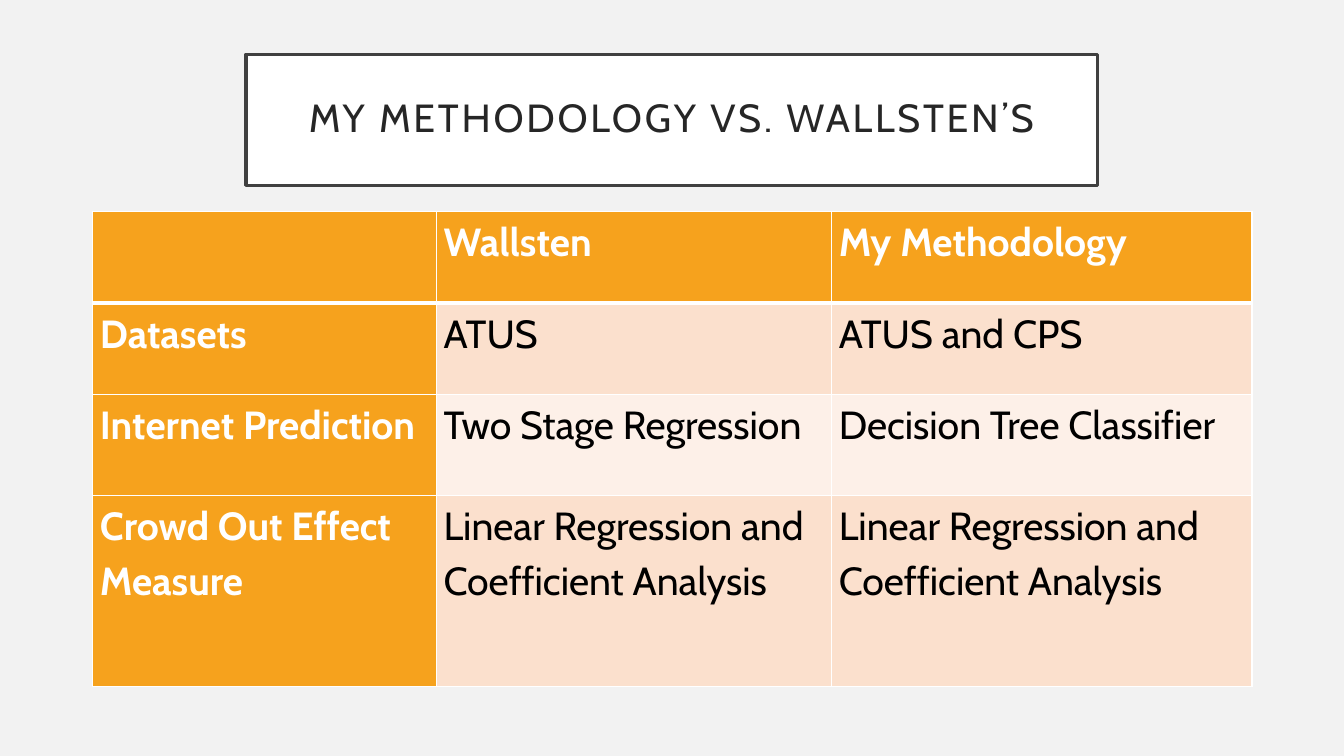
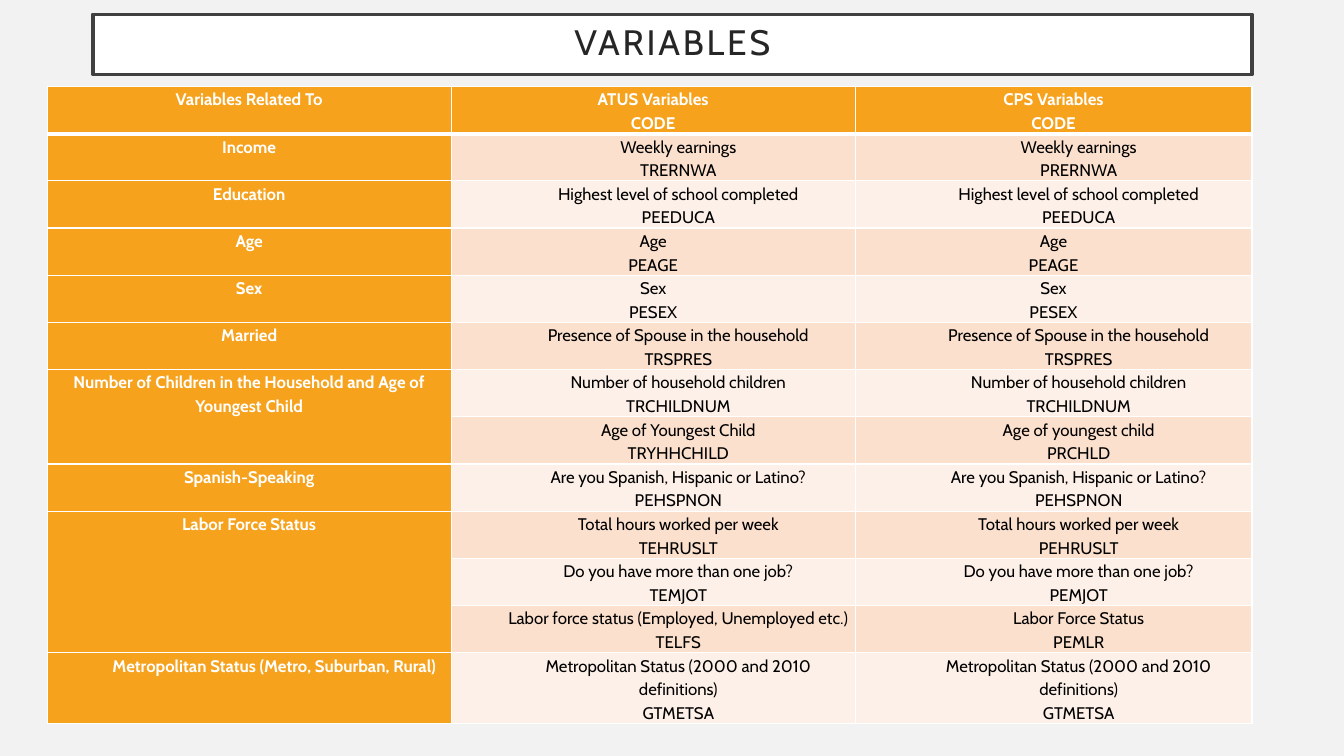
from dataclasses import dataclass

from lxml.etree import SubElement
from pptx import Presentation
from pptx.dml.color import RGBColor
from pptx.enum.text import MSO_ANCHOR, MSO_AUTO_SIZE, PP_ALIGN
from pptx.oxml.ns import qn
from pptx.util import Cm, Pt


@dataclass(frozen=True)
class Theme:
    font: str = "Cabin"
    background: str = "F2F2F2"
    white: str = "FFFFFF"
    black: str = "000000"
    frame: str = "404040"
    title_text: str = "262626"
    accent: str = "F6A21D"
    bands: tuple = ("FDF0E8", "FBE0CD")
    large: float = 28
    medium: float = 25.2
    small: float = 12
    frame_width: float = 2.5
    border: float = 1
    header_border: float = 3


@dataclass(frozen=True)
class TableStyle:
    size: float
    inset: float
    alignment: PP_ALIGN


THEME = Theme()
ROOMY = TableStyle(THEME.large, 0.18, PP_ALIGN.LEFT)
DENSE = TableStyle(THEME.small, 0.13, PP_ALIGN.CENTER)
LIST_INDENT = Cm(1.27)

METHOD_ROWS = [
    ("", "Wallsten", "My Methodology"),
    ("Datasets", "ATUS", "ATUS and CPS"),
    ("Internet Prediction", "Two Stage Regression", "Decision Tree Classifier"),
    ("Crowd Out Effect Measure",
     "Linear Regression and Coefficient Analysis",
     "Linear Regression and Coefficient Analysis"),
]

# None continues the label above; a line break starts a new paragraph.
VARIABLE_ROWS = [
    ("Variables Related To", "ATUS Variables\nCODE", "CPS Variables\nCODE"),
    ("Income", "Weekly earnings\nTRERNWA", "Weekly earnings\nPRERNWA"),
    ("Education",
     "Highest level of school completed\nPEEDUCA",
     "Highest level of school completed\nPEEDUCA"),
    ("Age", "Age\nPEAGE", "Age\nPEAGE"),
    ("Sex", "Sex\nPESEX", "Sex\nPESEX"),
    ("Married",
     "Presence of Spouse in the household\nTRSPRES",
     "Presence of Spouse in the household\nTRSPRES"),
    ("Number of Children in the Household and Age of Youngest Child",
     "Number of household children\nTRCHILDNUM",
     "Number of household children\nTRCHILDNUM"),
    (None, "Age of Youngest Child\nTRYHHCHILD", "Age of youngest child\nPRCHLD"),
    ("Spanish-Speaking",
     "Are you Spanish, Hispanic or Latino?\nPEHSPNON",
     "Are you Spanish, Hispanic or Latino?\nPEHSPNON"),
    ("Labor Force Status",
     "Total hours worked per week\nTEHRUSLT",
     "Total hours worked per week\nPEHRUSLT"),
    (None,
     "Do you have more than one job?\nTEMJOT",
     "Do you have more than one job?\nPEMJOT"),
    (None,
     "Labor force status (Employed, Unemployed etc.) TELFS",
     "Labor Force Status\nPEMLR"),
    ("Metropolitan Status (Metro, Suburban, Rural)",
     "Metropolitan Status (2000 and 2010 definitions)\nGTMETSA",
     "Metropolitan Status (2000 and 2010 definitions)\nGTMETSA"),
]


def color(value):
    return RGBColor.from_string(value)


def paint(fill, value):
    fill.solid()
    fill.fore_color.rgb = color(value)


def set_borders(cell, top, bottom):
    """Draw white borders, given the widths of the horizontal ones in points."""
    properties = cell._tc.get_or_add_tcPr()
    widths = {"a:lnL": THEME.border, "a:lnR": THEME.border, "a:lnT": top, "a:lnB": bottom}
    for position, (tag, width) in enumerate(widths.items()):
        line = SubElement(properties, qn(tag), w=str(Pt(width)))
        SubElement(SubElement(line, qn("a:solidFill")), qn("a:srgbClr"), val=THEME.white)
        properties.insert(position, line)


class Deck:
    def __init__(self):
        self.presentation = Presentation()
        self.presentation.slide_width = Cm(33.87)
        self.presentation.slide_height = Cm(19.05)
        paint(self.presentation.slide_master.background.fill, THEME.background)
        self.slide = None

    def add_slide(self):
        title_only = self.presentation.slide_layouts[5]
        self.slide = self.presentation.slides.add_slide(title_only)

    def style_paragraph(self, paragraph, size, text_color, alignment, spacing, bold=False):
        paragraph.alignment = alignment
        paragraph.line_spacing = spacing
        font = paragraph.font
        font.name, font.size, font.bold = THEME.font, Pt(size), bold
        font.color.rgb = color(text_color)

    def title(self, text, left, top, width, height, size):
        shape = self.slide.shapes.title
        shape.left, shape.top, shape.width, shape.height = map(Cm, (left, top, width, height))
        paint(shape.fill, THEME.white)
        shape.line.color.rgb = color(THEME.frame)
        shape.line.width = Pt(THEME.frame_width)
        frame = shape.text_frame
        frame.text = text
        frame.word_wrap = True
        frame.auto_size = MSO_AUTO_SIZE.NONE
        frame.vertical_anchor = MSO_ANCHOR.MIDDLE
        frame.margin_left = frame.margin_right = Cm(0.5)
        frame.margin_top = frame.margin_bottom = Cm(0.5)
        paragraph = frame.paragraphs[0]
        self.style_paragraph(paragraph, size, THEME.title_text, PP_ALIGN.CENTER, 0.9)
        paragraph.runs[0]._r.get_or_add_rPr().set("spc", "200")

    def table(self, rows, left, top, widths, heights, style, indented=lambda row, column: False):
        """Add a table with a header row, a label column and banded values."""
        table = self.slide.shapes.add_table(
            len(rows), len(widths), Cm(left), Cm(top), Cm(sum(widths)), Cm(sum(heights))
        ).table
        table.first_row = table.horz_banding = False
        for column, width in zip(table.columns, widths):
            column.width = Cm(width)
        for row, height in zip(table.rows, heights):
            row.height = Cm(height)
        label_row = 0
        for row, texts in enumerate(rows):
            for column, text in enumerate(texts):
                self.fill_cell(table.cell(row, column), text or "", row, column, style,
                               indented(row, column))
            if texts[0] is not None:
                label_row = row
            elif row + 1 == len(rows) or rows[row + 1][0] is not None:
                table.cell(label_row, 0).merge(table.cell(row, 0))

    def fill_cell(self, cell, text, row, column, style, indented):
        heading = row == 0 or column == 0
        paint(cell.fill, THEME.accent if heading else THEME.bands[row % 2])
        set_borders(cell,
                    THEME.header_border if row == 1 else THEME.border,
                    THEME.header_border if row == 0 else THEME.border)
        cell.margin_left = cell.margin_right = Cm(style.inset)
        cell.margin_top = cell.margin_bottom = 0
        cell.text = text
        for paragraph in cell.text_frame.paragraphs:
            text_color = THEME.white if heading else THEME.black
            self.style_paragraph(paragraph, style.size, text_color, style.alignment, 1.15, heading)
            if indented:
                paragraph._p.get_or_add_pPr().set("marL", str(LIST_INDENT))


def variable_indented(row, column):
    """Values are indented except for age and sex; of the labels, only the last."""
    if column == 0:
        return row == len(VARIABLE_ROWS) - 1
    return row > 0 and VARIABLE_ROWS[row][0] not in ("Age", "Sex")


def main():
    deck = Deck()

    deck.add_slide()
    deck.title("MY METHODOLOGY VS. WALLSTEN’S", 6.2, 1.37, 21.46, 3.3, THEME.large)
    deck.table(METHOD_ROWS, 2.34, 5.33, (8.66, 9.96, 10.59), (2.31, 2.31, 2.54, 4.8), ROOMY)

    deck.add_slide()
    deck.title("VARIABLES", 2.34, 0.36, 29.21, 1.52, THEME.medium)
    heights = [1.14] * (len(VARIABLE_ROWS) - 1) + [1.73]
    deck.table(VARIABLE_ROWS, 1.19, 2.18, (10.18, 10.18, 10), heights, DENSE, variable_indented)

    deck.presentation.save("out.pptx")


if __name__ == "__main__":
    main()
